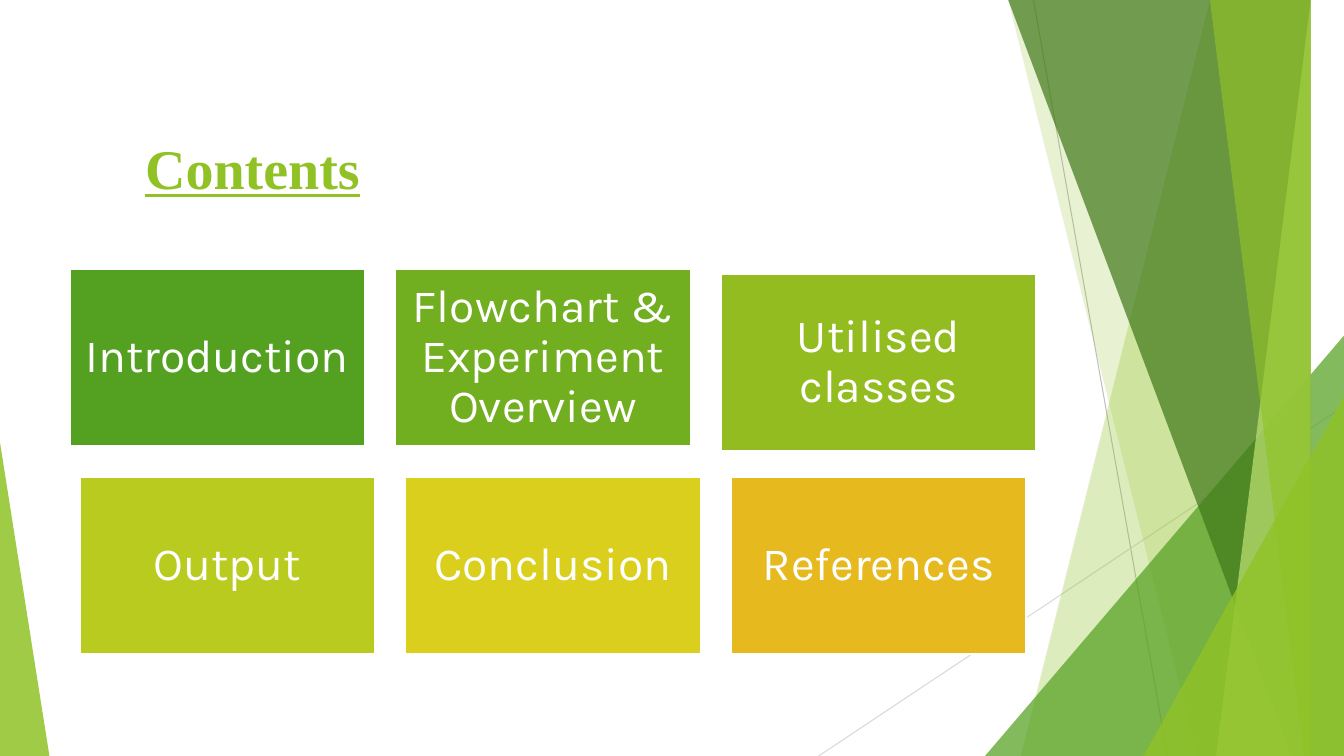
from dataclasses import dataclass

from lxml import etree
from pptx import Presentation
from pptx.dml.color import RGBColor
from pptx.enum.shapes import MSO_CONNECTOR, MSO_SHAPE
from pptx.enum.text import MSO_ANCHOR, MSO_AUTO_SIZE, PP_ALIGN
from pptx.oxml.ns import qn
from pptx.util import Inches, Pt

STRAIGHT = MSO_CONNECTOR.STRAIGHT
RECTANGLE, TRIANGLE = MSO_SHAPE.RECTANGLE, MSO_SHAPE.ISOSCELES_TRIANGLE
TOP, MIDDLE = MSO_ANCHOR.TOP, MSO_ANCHOR.MIDDLE
LEFT, CENTER = PP_ALIGN.LEFT, PP_ALIGN.CENTER

WHITE = RGBColor(0xFF, 0xFF, 0xFF)
GREY = RGBColor(0xBF, 0xBF, 0xBF)
PALE_GREY = RGBColor(0xD9, 0xD9, 0xD9)
LIME = RGBColor(0x90, 0xC2, 0x26)
PALE_LIME = RGBColor(0xC0, 0xE4, 0x74)
GREEN = RGBColor(0x54, 0xA0, 0x21)
DARK_GREEN = RGBColor(0x3F, 0x78, 0x19)
LEAF = RGBColor(0x71, 0xAE, 0x20)
OLIVE = RGBColor(0x92, 0xBC, 0x1F)
CITRUS = RGBColor(0xB9, 0xCB, 0x1E)
YELLOW = RGBColor(0xDA, 0xCF, 0x1C)
AMBER = RGBColor(0xE6, 0xB9, 0x1E)

WIDTH, HEIGHT = 13.33, 7.5
BLEED = -0.01
GRID_LEFT, GRID_TOP = 0.69, 2.67
TILE_W, TILE_H, GAP = 2.93, 1.76, 0.3
ROW_SHIFT = 0.1


@dataclass
class Ray:
    start: tuple[float, float]
    end: tuple[float, float]
    color: RGBColor


@dataclass
class Facet:
    top_x: float
    bottom_x: float
    color: RGBColor
    opacity: int


@dataclass
class Wedge:
    left: float
    width: float
    height: float
    apex: int
    color: RGBColor
    opacity: int


@dataclass
class Tile:
    text: str
    col: int
    row: int
    color: RGBColor
    extra_width: float = 0
    drop: float = 0


RAYS = [
    Ray((10.25, 0), (11.58, HEIGHT), GREY),
    Ray((WIDTH, 4.03), (8.12, HEIGHT), PALE_GREY),
]
PANELS = [
    Facet(12.28, 10.04, LIME, 30),
    Facet(10.5, 11.83, LIME, 20),
    Wedge(9.77, 3.56, 4.17, 1, GREEN, 72),
    Facet(10.21, 12.91, DARK_GREEN, 70),
    Facet(13.03, 11.92, PALE_LIME, 70),
    Facet(11.96, 13.18, LIME, 65),
    Wedge(11.34, 1.99, 3.57, 1, LIME, 80),
    Wedge(0, 0.49, 3.11, 0, LIME, 85),
]
TILES = [
    Tile("Introduction", 0, 0, GREEN),
    Tile("Flowchart & Experiment Overview", 1, 0, LEAF),
    Tile("Utilised classes", 2, 0, OLIVE, extra_width=0.2, drop=0.05),
    Tile("Output", 0, 1, CITRUS),
    Tile("Conclusion", 1, 1, YELLOW),
    Tile("References", 2, 1, AMBER),
]
TILE_FRAME = {
    "word_wrap": True,
    "vertical_anchor": MIDDLE,
    **{f"margin_{side}": Inches(0.14) for side in ("left", "top", "right", "bottom")},
}
TILE_FONT = {"name": "Karla", "size": Pt(33)}
TITLE_BOX = {
    "left": Inches(1.34),
    "top": Inches(1.27),
    "width": Inches(2.78),
    "height": Inches(0.77),
}
TITLE_FRAME = {
    "word_wrap": True,
    "vertical_anchor": TOP,
    "auto_size": MSO_AUTO_SIZE.SHAPE_TO_FIT_TEXT,
}
TITLE_FONT = {"name": "Times New Roman", "size": Pt(40), "bold": True, "underline": True}


def apply(target: object, values: dict) -> None:
    for name, value in values.items():
        setattr(target, name, value)


def write(sp, text: str, frame: dict, paragraph: dict, font: dict, color: RGBColor) -> None:
    tf = sp.text_frame
    apply(tf, frame)
    p = tf.paragraphs[0]
    apply(p, paragraph)
    r = p.add_run()
    r.text = text
    apply(r.font, font)
    r.font.color.rgb = color


def draw_ray(s, ray: Ray) -> None:
    ends = [Inches(v) for v in (*ray.start, *ray.end)]
    line = s.shapes.add_connector(STRAIGHT, *ends)
    line.line.color.rgb = ray.color
    line.line.width = Pt(0.75)
    etree.SubElement(line._element.spPr, qn("a:effectLst"))


def draw_panel(s, panel: Facet | Wedge) -> None:
    if isinstance(panel, Facet):
        builder = s.shapes.build_freeform(panel.top_x, BLEED, scale=Inches(1))
        corners = [(WIDTH, BLEED), (WIDTH, HEIGHT), (panel.bottom_x, HEIGHT)]
        builder.add_line_segments(corners, close=True)
        sp = builder.convert_to_shape()
    else:
        box = (panel.left, HEIGHT - panel.height, panel.width, panel.height)
        sp = s.shapes.add_shape(TRIANGLE, *map(Inches, box))
        sp.adjustments[0] = panel.apex
    sp.shadow.inherit = False
    sp.line.fill.background()
    sp.fill.solid()
    sp.fill.fore_color.rgb = panel.color
    color = sp._element.spPr.find(qn("a:solidFill"))[0]
    etree.SubElement(color, qn("a:alpha"), val=str(panel.opacity * 1000))


def draw_tile(s, tile: Tile) -> None:
    left = GRID_LEFT + tile.col * (TILE_W + GAP) + tile.row * ROW_SHIFT
    top = GRID_TOP + tile.row * (TILE_H + GAP) + tile.drop
    box = (left, top, TILE_W + tile.extra_width, TILE_H)
    sp = s.shapes.add_shape(RECTANGLE, *map(Inches, box))
    sp.shadow.inherit = False
    sp.fill.solid()
    sp.fill.fore_color.rgb = tile.color
    sp.line.color.rgb = WHITE
    sp.line.width = Pt(1.5)
    paragraph = {"alignment": CENTER, "line_spacing": 0.9}
    write(sp, tile.text, TILE_FRAME, paragraph, TILE_FONT, WHITE)


def main() -> None:
    prs = Presentation()
    prs.slide_width, prs.slide_height = Inches(WIDTH), Inches(HEIGHT)
    s = prs.slides.add_slide(prs.slide_layouts[5])
    for ray in RAYS:
        draw_ray(s, ray)
    for panel in PANELS:
        draw_panel(s, panel)
    for tile in TILES:
        draw_tile(s, tile)
    title = s.shapes.title
    apply(title, TITLE_BOX)
    write(title, "Contents", TITLE_FRAME, {"alignment": LEFT}, TITLE_FONT, LIME)
    prs.save("out.pptx")


if __name__ == "__main__":
    main()
